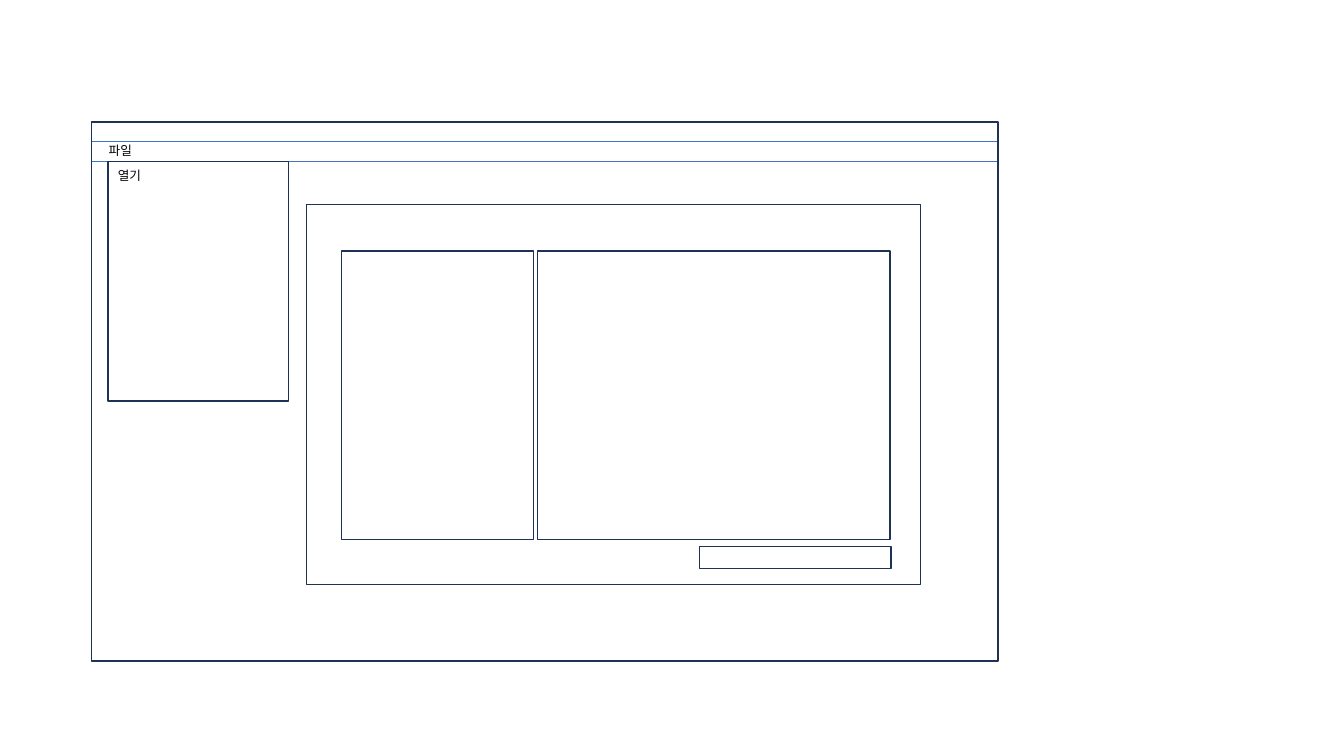
import dataclasses

import lxml.etree
import pptx
import pptx.dml.color
import pptx.enum.shapes
import pptx.enum.text
import pptx.oxml.ns
import pptx.presentation
import pptx.slide
import pptx.util


@dataclasses.dataclass(frozen=True)
class Theme:
    frame: str = "1E3256"
    rule: str = "4472C4"
    ink: str = "000000"
    font: str = "Noto Sans CJK KR"
    label_size: float = 9
    frame_width: float = 1
    rule_width: float = 0.5


@dataclasses.dataclass(frozen=True)
class Area:
    column: float
    row: float
    columns: float
    rows: float


@dataclasses.dataclass(frozen=True)
class Label:
    text: str
    area: Area


@dataclasses.dataclass(frozen=True)
class Grid:
    width: int
    height: int
    divisions: int = 100

    def across(self, columns: float) -> int:
        return round(self.width * columns / self.divisions)

    def down(self, rows: float) -> int:
        return round(self.height * rows / self.divisions)

    def place(self, area: Area) -> tuple[int, int, int, int]:
        return (
            self.across(area.column),
            self.down(area.row),
            self.across(area.columns),
            self.down(area.rows),
        )


THEME = Theme()
GRID = Grid(pptx.util.Inches(13.333), pptx.util.Inches(7.5))

MENU_TOP, MENU_BOTTOM = 18.67, 21.33
PANE_TOP, PANE_ROWS = 33.2, 38.13
NARROW_COLUMNS = 14.25

WINDOW = Area(6.83, 16.13, 67.43, 71.33)
FILE_MENU = Area(8.03, MENU_BOTTOM, 13.43, 31.73)
DIALOG = Area(22.8, 27.07, 45.68, 50.27)
LIST_PANE = Area(25.43, PANE_TOP, NARROW_COLUMNS, PANE_ROWS)
PREVIEW_PANE = Area(39.98, PANE_TOP, 26.25, PANE_ROWS)
DIALOG_BUTTON = Area(52.05, 72.27, NARROW_COLUMNS, 2.93)

FILE_LABEL = Label("파일", Area(7.35, 18.27, 3.38, 3.33))
OPEN_LABEL = Label("열기", Area(FILE_MENU.column, 21.6, 3.38, 5.33))


def color(code: str) -> pptx.dml.color.RGBColor:
    return pptx.dml.color.RGBColor.from_string(code)


def draw_frame(slide: pptx.slide.Slide, area: Area) -> None:
    frame = slide.shapes.add_shape(
        pptx.enum.shapes.MSO_SHAPE.RECTANGLE, *GRID.place(area)
    )
    frame.shadow.inherit = False
    frame.fill.background()
    frame.line.color.rgb = color(THEME.frame)
    frame.line.width = pptx.util.Pt(THEME.frame_width)


def draw_menu_rule(slide: pptx.slide.Slide, row: float) -> None:
    rule = slide.shapes.add_connector(
        pptx.enum.shapes.MSO_CONNECTOR.STRAIGHT,
        GRID.across(WINDOW.column),
        GRID.down(row),
        GRID.across(74.18),
        GRID.down(row),
    )
    rule.line.color.rgb = color(THEME.rule)
    rule.line.width = pptx.util.Pt(THEME.rule_width)
    lxml.etree.SubElement(
        rule._element.spPr, pptx.oxml.ns.qn("a:effectLst")
    )


def draw_label(slide: pptx.slide.Slide, label: Label) -> None:
    frame = slide.shapes.add_textbox(*GRID.place(label.area)).text_frame
    frame.word_wrap = False
    frame.auto_size = pptx.enum.text.MSO_AUTO_SIZE.NONE
    run = frame.paragraphs[0].add_run()
    run.text = label.text
    run.font.name = THEME.font
    run.font.size = pptx.util.Pt(THEME.label_size)
    run.font.color.rgb = color(THEME.ink)
    east_asian = lxml.etree.SubElement(
        run._r.get_or_add_rPr(), pptx.oxml.ns.qn("a:ea")
    )
    east_asian.set("typeface", THEME.font)


def draw_wireframe(slide: pptx.slide.Slide) -> None:
    draw_frame(slide, WINDOW)
    for row in (MENU_TOP, MENU_BOTTOM):
        draw_menu_rule(slide, row)
    draw_label(slide, FILE_LABEL)
    draw_frame(slide, FILE_MENU)
    draw_label(slide, OPEN_LABEL)
    for area in (DIALOG, LIST_PANE, PREVIEW_PANE, DIALOG_BUTTON):
        draw_frame(slide, area)


def main() -> None:
    deck = pptx.Presentation()
    deck.slide_width = GRID.width
    deck.slide_height = GRID.height
    draw_wireframe(deck.slides.add_slide(deck.slide_layouts[6]))
    deck.save("out.pptx")


if __name__ == "__main__":
    main()
